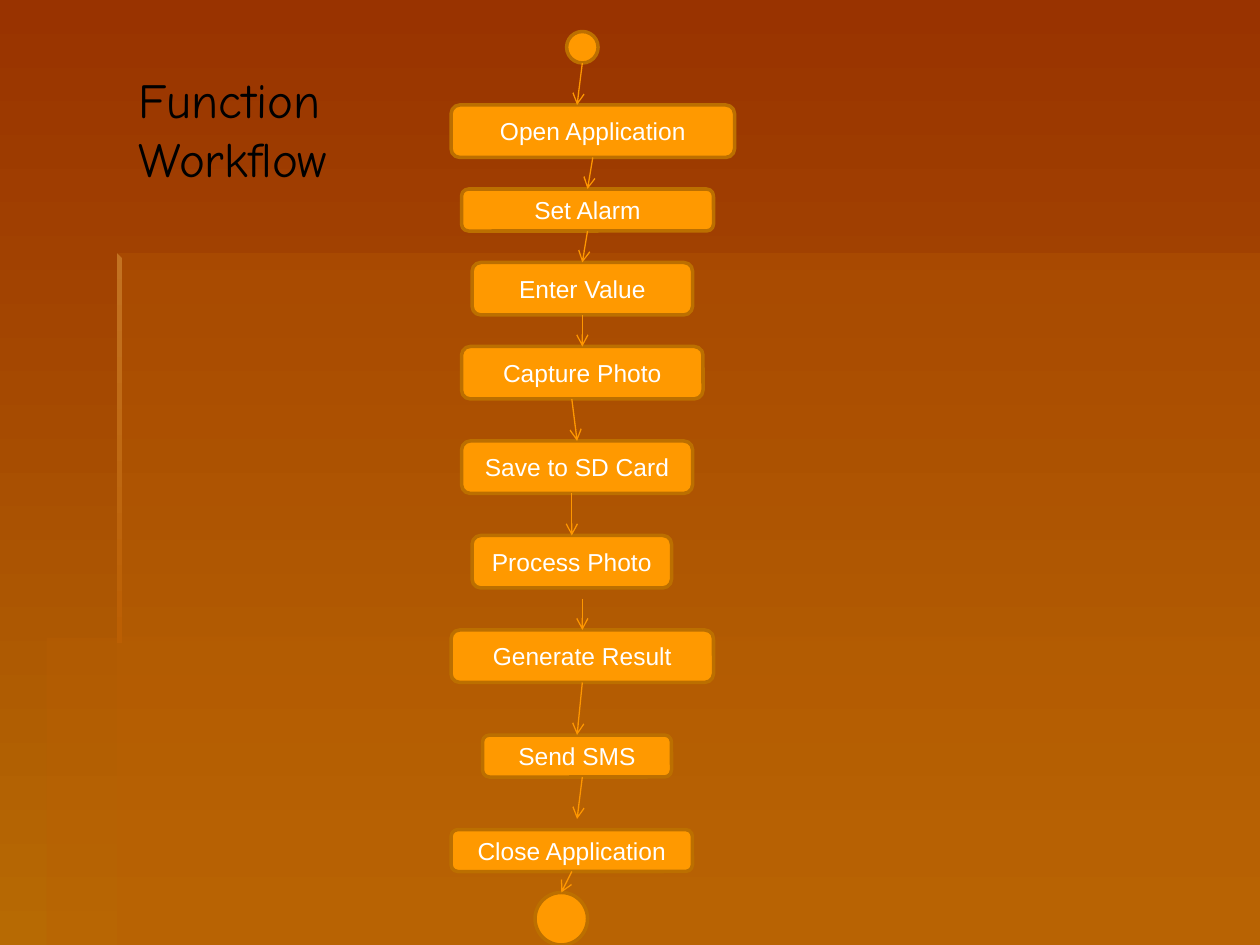
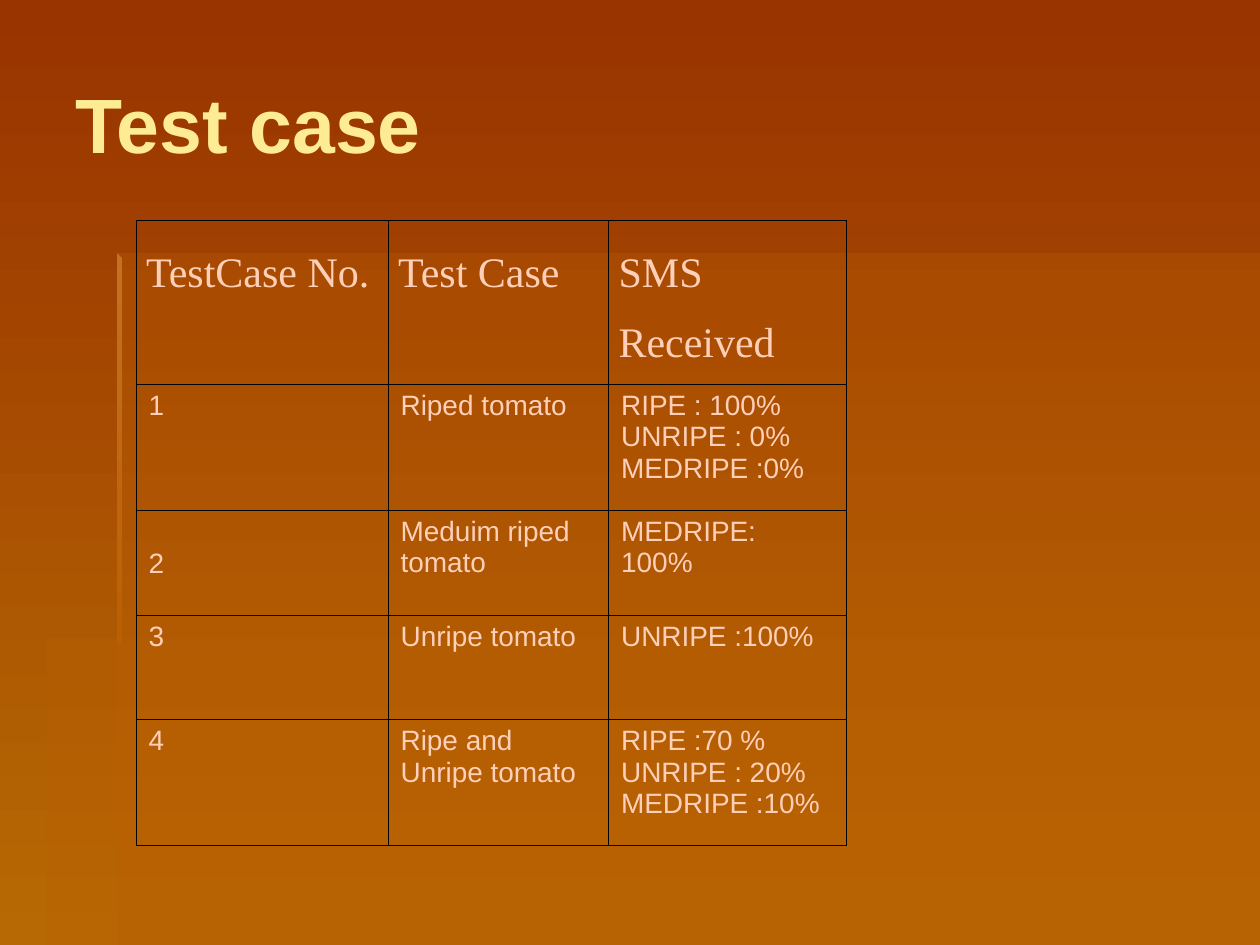
from lxml import etree
from pptx import Presentation
from pptx.dml.color import RGBColor
from pptx.enum.shapes import MSO_CONNECTOR, MSO_SHAPE
from pptx.enum.text import MSO_ANCHOR, MSO_AUTO_SIZE, PP_ALIGN
from pptx.oxml.ns import qn
from pptx.util import Inches, Pt

RUST = RGBColor(0x99, 0x33, 0x00)
OCHRE = RGBColor(0xB7, 0x6A, 0x03)
PANEL = RGBColor(0xBB, 0x5F, 0x03)
EDGE = RGBColor(0xC3, 0x72, 0x21)
ORANGE = RGBColor(0xFF, 0x99, 0x00)
OUTLINE = RGBColor(0xBC, 0x6F, 0x00)
ARROW = RGBColor(0xFF, 0x97, 0x00)
CREAM = RGBColor(0xFE, 0xEC, 0x94)
PEACH = RGBColor(0xFF, 0xCF, 0xB8)
WHITE = RGBColor(0xFF, 0xFF, 0xFF)
BLACK = RGBColor(0x00, 0x00, 0x00)

FLOW_COLUMNS = 27
STEPS = [
    ("Open Application", 0, 7, 27, 5),
    ("Set Alarm", 1, 15, 24, 4),
    ("Enter Value", 2, 22, 21, 5),
    ("Capture Photo", 1, 30, 23, 5),
    ("Save to SD Card", 1, 39, 22, 5),
    ("Process Photo", 2, 48, 19, 5),
    ("Generate Result", 0, 57, 25, 5),
    ("Send SMS", 3, 67, 18, 4),
    ("Close Application", 0, 76, 23, 4),
]
TERMINALS = [(11, 0, 3), (8, 82, 5)]
ARROWS = [
    (12.5, 3, 12, 7),
    (13.5, 12, 13, 15),
    (13, 19, 12.5, 22),
    (12.5, 27, 12.5, 30),
    (11.5, 35, 12, 39),
    (11.5, 44, 11.5, 48),
    (12.5, 54, 12.5, 57),
    (12.5, 62, 12, 67),
    (12.5, 71, 12, 75),
    (11.5, 80, 10.5, 82),
]

HEADERS = ["TestCase No.", "Test Case", "SMS Received"]
CASES = [
    ["1", "Riped tomato", "RIPE : 100%\nUNRIPE : 0%\nMEDRIPE :0%"],
    ["2", "Meduim riped tomato", "MEDRIPE: 100%"],
    ["3", "Unripe tomato", "UNRIPE :100%"],
    ["4", "Ripe and Unripe tomato", "RIPE :70 % UNRIPE : 20%\nMEDRIPE :10%"],
]
COLUMN_WIDTHS = [2, 1.75, 1.89]
ROW_HEIGHTS = [1.2, 1, 0.83, 0.83, 1]


def set_font(p, name, size, color, bold=False):
    p.font.name = name
    p.font.size = Pt(size)
    p.font.color.rgb = color
    p.font.bold = bold


def fill_down(fill, top_color, bottom_color):
    fill.gradient()
    fill.gradient_angle = 270
    for stop, color in zip(fill.gradient_stops, (top_color, bottom_color)):
        stop.color.rgb = color


def add_panel(slide, points):
    corners = [(Inches(x), Inches(y)) for x, y in points]
    builder = slide.shapes.build_freeform(*corners[0], scale=1.0)
    builder.add_line_segments(corners[1:], close=True)
    sp = builder.convert_to_shape()
    sp.shadow.inherit = False
    sp.line.fill.background()
    return sp


def build_backdrop(prs, slide):
    master = prs.slide_master
    fill_down(master.background.fill, RUST, OCHRE)
    lower = add_panel(slide, [(0.93, 5.05), (0.93, 7.5), (10, 7.5), (10, 5.05)])
    wide = add_panel(slide, [(0.94, 5.06), (0.37, 5.06), (0.37, 7.5),
                             (10, 7.5), (10, 2.01), (0.94, 2.01)])
    for sp in (lower, wide):
        sp.fill.solid()
        sp.fill.fore_color.rgb = PANEL
        color = sp.element.spPr.find(qn("a:solidFill"))[0]
        etree.SubElement(color, qn("a:alpha"), val="29000")
    strip = add_panel(slide, [(0.93, 2.01), (0.93, 5.1), (0.97, 5.1), (0.97, 2.05)])
    fill_down(strip.fill, EDGE, PANEL)
    for number, sp in enumerate((lower, wide, strip)):
        sp.element.nvSpPr.cNvPr.set("id", str(101 + number))
        master.shapes.element.insert(2 + number, sp.element)


def set_title(slide, box, text, name, size, color, bold=False, inset=0.05,
              anchor=MSO_ANCHOR.TOP, spacing=1.0):
    title = slide.shapes.title
    title.left, title.top, title.width, title.height = map(Inches, box)
    tf = title.text_frame
    tf.text = text
    tf.word_wrap = True
    tf.auto_size = MSO_AUTO_SIZE.SHAPE_TO_FIT_TEXT
    tf.vertical_anchor = anchor
    tf.margin_left = tf.margin_right = Inches(0.1)
    tf.margin_top = tf.margin_bottom = Inches(inset)
    for p in tf.paragraphs:
        p.alignment = PP_ALIGN.LEFT
        p.line_spacing = spacing
        p.space_before = Pt(0)
        set_font(p, name, size, color, bold)


def add_node(slide, kind, left, top, width, height):
    sp = slide.shapes.add_shape(kind, left, top, width, height)
    sp.shadow.inherit = False
    sp.fill.solid()
    sp.fill.fore_color.rgb = ORANGE
    sp.line.color.rgb = OUTLINE
    sp.line.width = Pt(2)
    return sp


def add_arrow(slide, *ends):
    line = slide.shapes.add_connector(MSO_CONNECTOR.STRAIGHT, *ends)
    line.line.color.rgb = ARROW
    line.line.width = Pt(0.75)
    spPr = line.element.spPr
    etree.SubElement(spPr.find(qn("a:ln")), qn("a:tailEnd"), type="arrow")
    etree.SubElement(spPr, qn("a:effectLst"))


def add_workflow(slide, left, top, width):
    unit = width / FLOW_COLUMNS

    def x(column):
        return Inches(left + column * unit)

    def y(row):
        return Inches(top + row * unit)

    def size(cells):
        return Inches(cells * unit)

    for column, row, span in TERMINALS:
        add_node(slide, MSO_SHAPE.OVAL, x(column), y(row), size(span), size(span))
    for text, column, row, columns, rows in STEPS:
        sp = add_node(slide, MSO_SHAPE.ROUNDED_RECTANGLE,
                      x(column), y(row), size(columns), size(rows))
        tf = sp.text_frame
        tf.text = text
        tf.word_wrap = True
        tf.vertical_anchor = MSO_ANCHOR.MIDDLE
        p = tf.paragraphs[0]
        p.alignment = PP_ALIGN.CENTER
        set_font(p, "Arial", 14, WHITE)
    for x1, y1, x2, y2 in ARROWS:
        add_arrow(slide, x(x1), y(y1), x(x2), y(y2))


def set_borders(cell):
    tcPr = cell._tc.get_or_add_tcPr()
    for side in ("a:lnL", "a:lnR", "a:lnT", "a:lnB"):
        ln = etree.SubElement(tcPr, qn(side), w=str(Pt(0.34)))
        fill = etree.SubElement(ln, qn("a:solidFill"))
        etree.SubElement(fill, qn("a:srgbClr"), val=str(BLACK))


def fill_cell(cell, text, header):
    set_borders(cell)
    cell.fill.background()
    cell.text = text
    cell.margin_left = cell.margin_right = Inches(0.08 if header else 0.1)
    cell.margin_top = cell.margin_bottom = Inches(0.05)
    for p in cell.text_frame.paragraphs:
        if header:
            p.alignment = PP_ALIGN.JUSTIFY
            p.line_spacing = 1.5
            set_font(p, "Times New Roman", 24, PEACH)
        else:
            set_font(p, "Arial", 16, PEACH)


def add_case_table(slide, left, top):
    rows = [HEADERS] + CASES
    table = slide.shapes.add_table(
        len(rows), len(HEADERS), Inches(left), Inches(top),
        Inches(sum(COLUMN_WIDTHS)), Inches(sum(ROW_HEIGHTS))).table
    table.first_row = table.horz_banding = False
    for column, width in zip(table.columns, COLUMN_WIDTHS):
        column.width = Inches(width)
    for row, height in zip(table.rows, ROW_HEIGHTS):
        row.height = Inches(height)
    for i, texts in enumerate(rows):
        for j, text in enumerate(texts):
            fill_cell(table.cell(i, j), text, header=i == 0)
    table.cell(2, 0).margin_top = Inches(0.3)


prs = Presentation()
prs.slide_width = Inches(10)
prs.slide_height = Inches(7.5)
title_only = prs.slide_layouts[5]

workflow = prs.slides.add_slide(title_only)
build_backdrop(prs, workflow)
set_title(workflow, (1, 0.5, 2.25, 1.04), "Function\nWorkflow", "Comic Neue", 28, BLACK)
add_workflow(workflow, 3.58, 0.25, 2.25)

cases = prs.slides.add_slide(title_only)
set_title(cases, (0.5, 0.67, 9.17, 0.76), "Test case", "Arial", 44, CREAM, bold=True,
          inset=0.1, anchor=MSO_ANCHOR.MIDDLE, spacing=0.75)
add_case_table(cases, 1.08, 1.75)

prs.save("out.pptx")
